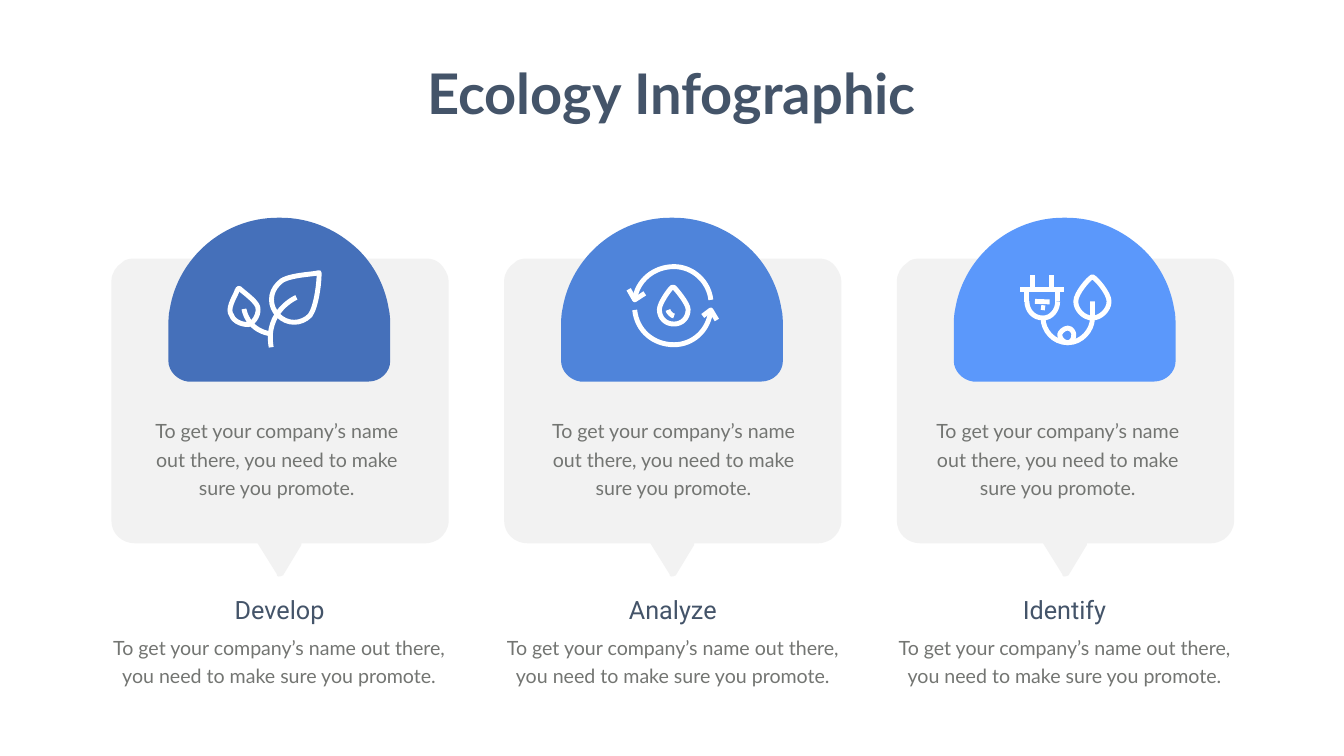
"""Build the Ecology Infographic slide: three callout cards with domes, icons and captions."""
from pptx import Presentation
from pptx.dml.color import RGBColor
from pptx.enum.shapes import MSO_CONNECTOR
from pptx.enum.text import MSO_ANCHOR, PP_ALIGN
from pptx.oxml.ns import qn
from pptx.util import Pt
from lxml.etree import SubElement

NAVY = RGBColor(0x44, 0x54, 0x69)
GRAY = RGBColor(0x73, 0x75, 0x72)
CARD_GRAY = RGBColor(0xF2, 0xF2, 0xF2)
WHITE = RGBColor(0xFF, 0xFF, 0xFF)
DARK_BLUE = RGBColor(0x45, 0x70, 0xBA)
MID_BLUE = RGBColor(0x4F, 0x84, 0xDA)
LIGHT_BLUE = RGBColor(0x5B, 0x98, 0xFB)

TITLE = "Ecology Infographic"
BLURB = "To get your company’s name out there, you need to make sure you promote."

TITLE_FONT = {"name": "Lato", "size": Pt(80), "bold": True}
HEADING_FONT = {"name": "Roboto", "size": Pt(36)}
BODY_FONT = {"name": "Lato", "size": Pt(28)}

GRID = 0.72
CARD_LEFT, CARD_TOP, CARD_PITCH = 159.12, 369.36, 560.88
ICON_WEIGHT = 7

CARD = [
    (669, 45), (669, 520), (669, 536, 660, 549, 649, 557), (640, 562, 632, 565, 623, 565),
    (377, 565), (377, 568), (342, 626), (342, 629, 339, 629, 339, 629),
    (333, 632, 328, 632, 328, 626), (290, 565), (47, 565), (21, 565, 0, 546, 0, 520),
    (0, 45), (0, 29, 9, 16, 21, 8), (26, 2, 35, 0, 47, 0), (623, 0),
    (634, 0, 643, 2, 652, 10), (660, 18, 669, 32, 669, 45),
]
DOME = [
    (113, 203), (113, 137), (113, 125, 113, 111, 116, 99), (133, -2, 223, -81, 330, -81),
    (336, -81), (391, -81, 440, -60, 478, -28), (516, 3, 542, 50, 550, 99),
    (553, 111, 553, 125, 553, 137), (553, 203), (553, 226, 533, 244, 510, 244),
    (151, 244), (130, 241, 113, 223, 113, 203),
]
SPROUT_ICON = [
    [(412, 32), (412, 28), (399, 32, 344, 32, 331, 50), (313, 68, 313, 95, 331, 113),
     (349, 131, 376, 131, 394, 113), (407, 95, 412, 46, 412, 32)],
    [(367, 77), (367, 77, 304, 104, 317, 176)],
    [(236, 108), (240, 122, 254, 131, 272, 131), (285, 126, 294, 108, 290, 95),
     (285, 82, 258, 64, 254, 59), (254, 59, 249, 59, 249, 64), (249, 68, 231, 95, 236, 108)],
    [(263, 100), (263, 100, 268, 140, 313, 149)],
]
WATER_CYCLE_ICON = [
    [(410, 82), (406, 45, 374, 16, 337, 16), (296, 16, 263, 45, 259, 82)],
    [(259, 102), (263, 143, 296, 171, 337, 171), (374, 171, 406, 143, 410, 102)],
    [(279, 69), (259, 82), (247, 61)],
    [(422, 122), (410, 102), (394, 114)],
    [(337, 57), (333, 57), (328, 61, 308, 89, 308, 101), (308, 118, 320, 130, 337, 130),
     (353, 130, 365, 118, 365, 101), (365, 89, 341, 61, 337, 57)],
    [(337, 114), (333, 114, 325, 106, 325, 102)],
]
PLUG_ICON = [
    [(388, 36), (380, 40, 355, 69, 355, 85), (355, 102, 371, 118, 388, 118),
     (404, 118, 421, 102, 421, 85), (421, 69, 396, 40, 388, 36)],
    [(319, 61), (319, 85)],
    [(258, 86), (258, 60)],
    [(319, 85), (319, 102, 307, 118, 290, 118), (270, 118, 258, 102, 258, 85)],
    [(245, 61), (331, 61)],
    [(270, 61), (270, 32)],
    [(307, 61), (307, 32)],
    [(274, 85), (303, 86)],
    [(286, 97), (294, 98)],
    [(290, 118), (290, 142, 310, 167, 339, 167), (367, 167, 388, 142, 388, 118), (388, 85)],
    [(351, 151), (351, 159, 347, 167, 339, 167), (331, 167, 323, 159, 323, 151),
     (323, 147, 331, 138, 339, 138), (347, 138, 351, 147, 351, 151)],
]

COLUMNS = [
    {"heading": "Develop", "color": DARK_BLUE, "icon": SPROUT_ICON,
     "body_left": 214.56, "heading_left": 217.44, "caption_left": 138.24},
    {"heading": "Analyze", "color": MID_BLUE, "icon": WATER_CYCLE_ICON,
     "body_left": 781.2, "heading_left": 779.04, "caption_left": 700.56},
    {"heading": "Identify", "color": LIGHT_BLUE, "icon": PLUG_ICON,
     "body_left": 1329.84, "heading_left": 1338.48, "caption_left": 1260},
]


def add_outline(slide, outline, left, top):
    """Draw an outline whose six-number segments are cubic curves."""
    points = [segment[-2:] for segment in outline]
    builder = slide.shapes.build_freeform(*points[0], scale=Pt(GRID))
    builder.add_line_segments(points[1:], close=points[0] == points[-1])
    shape = builder.convert_to_shape(Pt(left), Pt(top))
    shape.shadow.inherit = False
    min_x, min_y = (min(values) for values in zip(*points))
    lines = list(shape._element.iter(qn("a:lnTo")))
    for line, segment in zip(lines, outline[1:]):
        if len(segment) == 6:
            line.tag = qn("a:cubicBezTo")
            end = line[0]
            for x, y in (segment[:2], segment[2:4]):
                control = SubElement(line, qn("a:pt"), x=str(x - min_x), y=str(y - min_y))
                end.addprevious(control)
    return shape


def add_filled(slide, outline, left, top, color):
    shape = add_outline(slide, outline, left, top)
    shape.fill.solid()
    shape.fill.fore_color.rgb = color
    shape.line.fill.background()


def add_stroke(slide, outline, left, top):
    if len(outline) == 2 and len(outline[1]) == 2:
        ends = [Pt(origin + value * GRID) for point in outline
                for origin, value in zip((left, top), point)]
        shape = slide.shapes.add_connector(MSO_CONNECTOR.STRAIGHT, *ends)
        SubElement(shape._element.spPr, qn("a:effectLst"))
    else:
        shape = add_outline(slide, outline, left, top)
        shape.fill.background()
    shape.line.color.rgb = WHITE
    shape.line.width = Pt(ICON_WEIGHT)


def write(shape, text, font, color, spacing=None, wrap=True):
    frame = shape.text_frame
    frame.word_wrap = wrap
    frame.vertical_anchor = MSO_ANCHOR.TOP
    paragraph = frame.paragraphs[0]
    paragraph.text = text
    paragraph.alignment = PP_ALIGN.CENTER
    paragraph.line_spacing = spacing
    for key, value in font.items():
        setattr(paragraph.font, key, value)
    paragraph.font.color.rgb = color


def add_text(slide, text, box, font, color, spacing=None):
    shape = slide.shapes.add_textbox(*(Pt(value) for value in box))
    write(shape, text, font, color, spacing)


def main():
    presentation = Presentation()
    presentation.slide_width, presentation.slide_height = Pt(1919.52), Pt(1080)
    slide = presentation.slides.add_slide(presentation.slide_layouts[5])

    title = slide.shapes.title
    title.left, title.top, title.width, title.height = Pt(595.44), Pt(80.64), Pt(727.92), Pt(104.4)
    write(title, TITLE, TITLE_FONT, NAVY, wrap=False)

    for index, column in enumerate(COLUMNS):
        left = CARD_LEFT + index * CARD_PITCH
        add_filled(slide, CARD, left, CARD_TOP, CARD_GRAY)
        add_filled(slide, DOME, left, CARD_TOP, column["color"])
        for outline in column["icon"]:
            add_stroke(slide, outline, left, CARD_TOP)
        add_text(slide, BLURB, (column["body_left"], 588.24, 361.44, 127.44),
                 BODY_FONT, GRAY, Pt(40.8))
        add_text(slide, column["heading"], (column["heading_left"], 846, 363.6, 51.12),
                 HEADING_FONT, NAVY)
        add_text(slide, BLURB, (column["caption_left"], 897.12, 520.56, 85.68),
                 BODY_FONT, GRAY, Pt(40.8))

    presentation.save("out.pptx")


if __name__ == "__main__":
    main()
